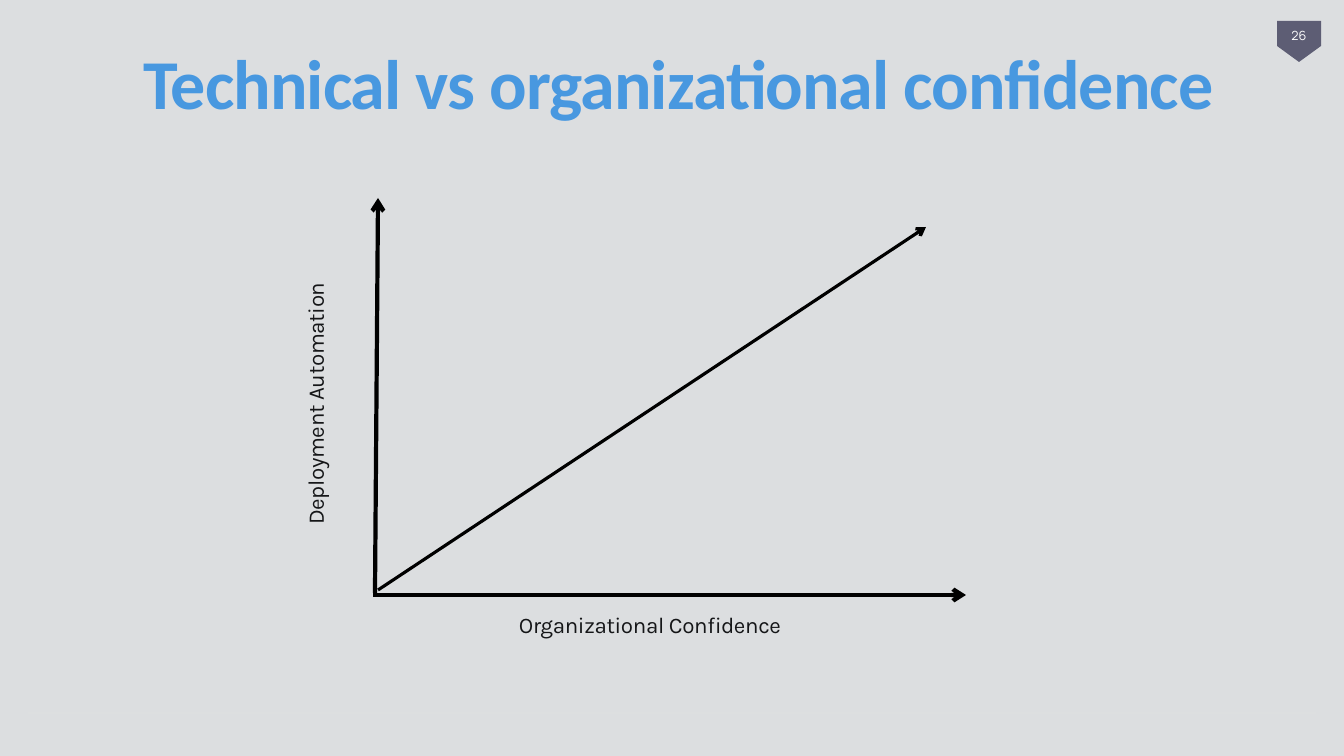
from lxml.etree import SubElement
from pptx import Presentation
from pptx.dml.color import RGBColor
from pptx.enum.shapes import MSO_CONNECTOR
from pptx.enum.text import MSO_ANCHOR, MSO_AUTO_SIZE, PP_ALIGN
from pptx.oxml.ns import qn
from pptx.util import Pt

EMU_PER_PX = 914400 / 50.4
BACKGROUND = RGBColor(0xDC, 0xDE, 0xE0)
WHITE = RGBColor(0xFF, 0xFF, 0xFF)
BLACK = RGBColor(0x00, 0x00, 0x00)
BADGE = RGBColor(0x5D, 0x5D, 0x74)
LABEL = RGBColor(0x15, 0x16, 0x18)
TITLE = RGBColor(0x48, 0x98, 0xE0)


def px(*lengths):
    """Turn pixel lengths into a list of EMU."""
    return [round(length * EMU_PER_PX) for length in lengths]


def add_line(shapes, start, end, color, width):
    line = shapes.add_connector(MSO_CONNECTOR.STRAIGHT, *px(*start, *end))
    line.line.color.rgb = color
    line.line.width = Pt(width)
    SubElement(line._element.spPr, qn("a:effectLst"))
    return line


def add_arrow(shapes, start, end, width):
    arrow = add_line(shapes, start, end, BLACK, width)
    SubElement(arrow.line._get_or_add_ln(), qn("a:tailEnd"), type="arrow")


def add_footer_rule(page):
    rule = add_line(page.shapes, (28, 713), (1316, 713), WHITE, 1)
    color = rule.line._get_or_add_ln().find(".//" + qn("a:srgbClr"))
    SubElement(color, qn("a:alpha"), val="9000")


def write(shape, text, font, size, color, align, anchor=MSO_ANCHOR.TOP,
          wrap=True, bold=False, tracking=0):
    """Fill a shape with one paragraph; tracking is in points."""
    frame = shape.text_frame
    frame.text = text
    frame.word_wrap = wrap
    frame.auto_size = MSO_AUTO_SIZE.SHAPE_TO_FIT_TEXT
    frame.vertical_anchor = anchor
    frame.margin_left = frame.margin_right = px(4)[0]
    frame.margin_top = frame.margin_bottom = px(4)[0]
    para = frame.paragraphs[0]
    para.alignment = align
    para.font.name = font
    para.font.size = Pt(size)
    para.font.bold = bold
    para.font.color.rgb = color
    if tracking:
        para._p.pPr.find(qn("a:defRPr")).set("spc", str(round(tracking * 100)))
    return para


def add_axis_label(shapes, text, bounds, rotation=0):
    box = shapes.add_textbox(*px(*bounds))
    box.rotation = rotation
    write(box, text, "Karla", 32, LABEL, PP_ALIGN.RIGHT,
          anchor=MSO_ANCHOR.MIDDLE, tracking=-0.5)


def add_title(page, text):
    title = page.shapes.title
    title.left, title.top, title.width, title.height = px(94, 58, 1169, 68)
    para = write(title, text, "Calibri", 100, TITLE, PP_ALIGN.CENTER,
                 bold=True, tracking=-1.3)
    para.line_spacing = 0.7


def add_page_badge(page, number):
    builder = page.shapes.build_freeform(1277, 21, scale=EMU_PER_PX)
    builder.add_line_segments([(1321, 21), (1321, 46), (1299, 62), (1277, 46)])
    badge = builder.convert_to_shape()
    badge.shadow.inherit = False
    badge.fill.solid()
    badge.fill.fore_color.rgb = BADGE
    badge.line.fill.background()
    box = page.shapes.add_textbox(*px(1287, 24, 24, 28))
    write(box, number, "Manrope", 18, WHITE, PP_ALIGN.CENTER, wrap=False)


def add_confidence_graph(page):
    shapes = page.shapes.add_group_shape().shapes
    add_arrow(shapes, (375, 593), (378, 198), 6)
    add_arrow(shapes, (373, 595), (966, 595), 6)
    add_arrow(shapes, (378, 590), (926, 227), 4.5)
    add_axis_label(shapes, "Deployment Automation", (185, 391, 260, 35), 270)
    add_axis_label(shapes, "Organizational Confidence", (466, 607, 319, 35))


def main():
    deck = Presentation()
    deck.slide_width, deck.slide_height = px(1344, 756)
    page = deck.slides.add_slide(deck.slide_layouts.get_by_name("Title Only"))
    page.background.fill.solid()
    page.background.fill.fore_color.rgb = BACKGROUND
    add_footer_rule(page)
    add_confidence_graph(page)
    add_title(page, "Technical vs organizational confidence")
    add_page_badge(page, "26")
    deck.save("out.pptx")


if __name__ == "__main__":
    main()
